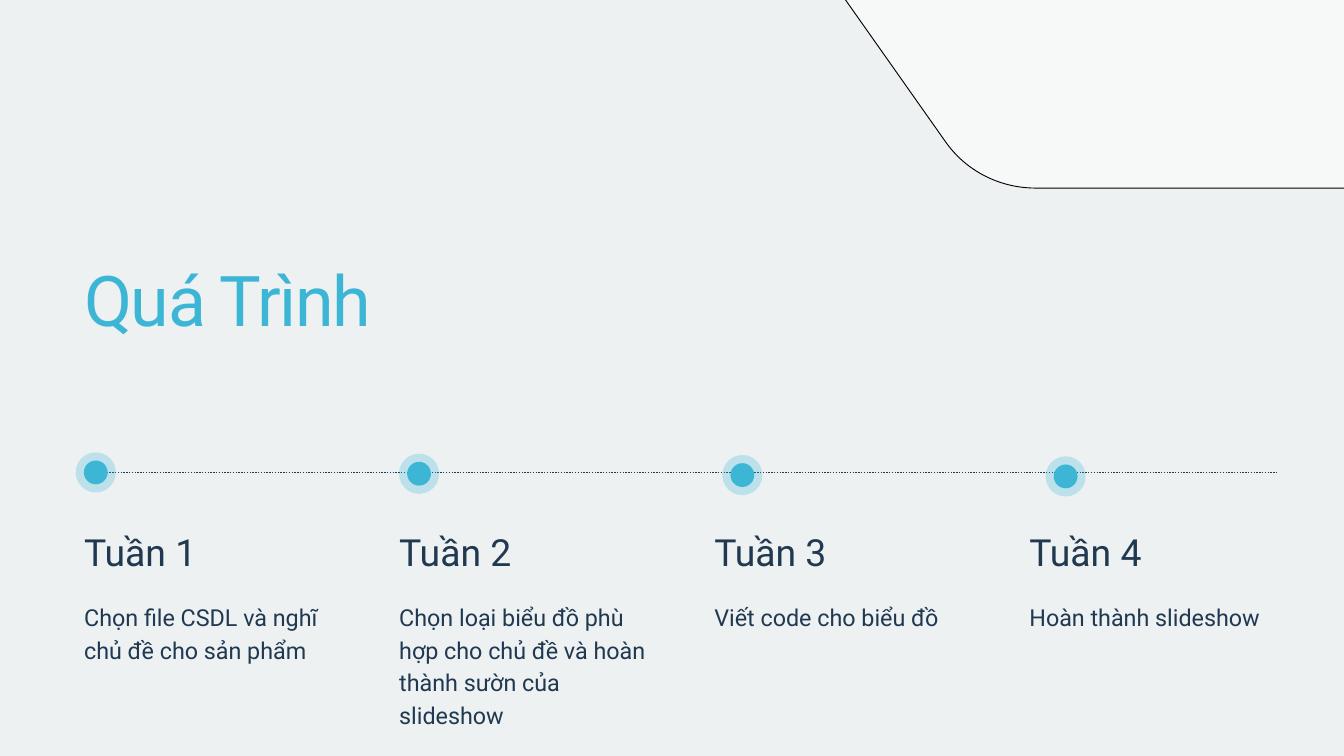
from lxml.etree import SubElement
from pptx import Presentation
from pptx.dml.color import RGBColor
from pptx.enum.dml import MSO_LINE
from pptx.enum.shapes import MSO_CONNECTOR, MSO_SHAPE
from pptx.enum.text import MSO_AUTO_SIZE
from pptx.oxml.ns import qn
from pptx.util import Cm, Pt

COLORS = {
    "background": "EDF1F2",
    "accent": "3DB6D6",
    "text": "203850",
    "panel": "FFFFFF",
    "outline": "000000",
}

# Week heading, description, lines it takes, column width
WEEKS = [
    ("Tuần 1", "Chọn file CSDL và nghĩ chủ đề cho sản phẩm", 2, 9.35),
    ("Tuần 2", "Chọn loại biểu đồ phù hợp cho chủ đề và hoàn thành sườn của slideshow", 4, 9.35),
    ("Tuần 3", "Viết code cho biểu đồ", 1, 9.35),
    ("Tuần 4", "Hoàn thành slideshow", 1, 10.24),
]

# Rounded corners of the panel: start, two control points, end
PANEL_CORNERS = [
    ((63.2, -4.17), (64.11, -5.74), (63.88, -7.75), (62.64, -9.07)),
    ((50.75, -22), (49.96, -22.86), (48.84, -23.34), (47.68, -23.34)),
    ((35.2, -23.34), (32.92, -23.34), (31.04, -21.46), (31.04, -19.18)),
    ((31.04, -2.62), (31.04, -1.75), (31.32, -0.91), (31.8, -0.23)),
    ((35.74, 5.36), (36.5, 6.45), (37.77, 7.11), (39.14, 7.11)),
    ((54.25, 7.11), (55.73, 7.11), (57.1, 6.32), (57.84, 5.05)),
]

LEFT = 3.18
COLUMN_STEP = 11.91
LINE_Y = 17.86
DOT_X, DOT_STEP, DOT_DROP = 3.62, 12.22, 0.05


def rgb(name):
    return RGBColor.from_string(COLORS[name])


def curve_points(corner, steps=24):
    """Sample a cubic Bezier curve, both ends included."""
    for i in range(steps + 1):
        t = i / steps
        weights = ((1 - t) ** 3, 3 * t * (1 - t) ** 2, 3 * t ** 2 * (1 - t), t ** 3)
        yield tuple(Cm(sum(w * p[axis] for w, p in zip(weights, corner))) for axis in (0, 1))


def write_text(tf, text, size, color="text", font="Roboto", leading=None, tracking=None):
    """Tracking is in hundredths of a point."""
    p = tf.paragraphs[0]
    if leading:
        p.line_spacing = Pt(leading)
    r = p.add_run()
    r.text = text
    r.font.name = font
    r.font.size = Pt(size)
    r.font.color.rgb = rgb(color)
    if tracking:
        r._r.get_or_add_rPr().set("spc", str(tracking))


class SlideBuilder:
    """Holds the current slide and the shared look of its elements."""

    def __init__(self, slide):
        self.s = slide
        fill = slide.background.fill
        fill.solid()
        fill.fore_color.rgb = rgb("background")

    def paint(self, sp, color, opacity=100):
        sp.shadow.inherit = False
        sp.fill.solid()
        sp.fill.fore_color.rgb = rgb(color)
        sp.line.fill.background()
        if opacity < 100:
            clr = sp._element.spPr.find(qn("a:solidFill")).find(qn("a:srgbClr"))
            SubElement(clr, qn("a:alpha"), val=str(opacity * 1000))

    def text(self, x, y, w, h, text, **style):
        tf = self.s.shapes.add_textbox(Cm(x), Cm(y), Cm(w), Cm(h)).text_frame
        tf.word_wrap = True
        tf.auto_size = MSO_AUTO_SIZE.SHAPE_TO_FIT_TEXT
        tf.margin_left = tf.margin_right = tf.margin_top = tf.margin_bottom = 0
        write_text(tf, text, **style)

    def dotted_line(self, x1, x2, y):
        line = self.s.shapes.add_connector(
            MSO_CONNECTOR.STRAIGHT, Cm(x1), Cm(y), Cm(x2), Cm(y))
        line.line.color.rgb = rgb("text")
        line.line.width = Pt(1.5)
        line.line.dash_style = MSO_LINE.ROUND_DOT
        SubElement(line._element.spPr, qn("a:effectLst"))

    def circle(self, cx, cy, diameter, opacity=100):
        sp = self.s.shapes.add_shape(
            MSO_SHAPE.OVAL, Cm(cx - diameter / 2), Cm(cy - diameter / 2),
            Cm(diameter), Cm(diameter))
        self.paint(sp, "accent", opacity)

    def rounded_panel(self, corners):
        points = [pt for corner in corners for pt in curve_points(corner)]
        builder = self.s.shapes.build_freeform(*points[0])
        builder.add_line_segments(points[1:], close=True)
        sp = builder.convert_to_shape()
        self.paint(sp, "panel", 60)
        sp.line.color.rgb = rgb("outline")
        sp.line.width = Pt(1)


def main():
    prs = Presentation()
    prs.slide_width, prs.slide_height = Cm(50.8), Cm(28.58)
    page = SlideBuilder(prs.slides.add_slide(prs.slide_layouts[6]))

    page.dotted_line(LEFT, 48.26, LINE_Y)
    for i in range(len(WEEKS)):
        cx, cy = DOT_X + i * DOT_STEP, LINE_Y + i * DOT_DROP
        page.circle(cx, cy, 1.52, opacity=27)
        page.circle(cx, cy, 0.9)

    page.rounded_panel(PANEL_CORNERS)
    page.text(LEFT, 9.68, 29.44, 3.15, "Quá Trình",
              size=75, color="accent", leading=90, tracking=-150)

    for i, (week, task, lines, width) in enumerate(WEEKS):
        x = LEFT + i * COLUMN_STEP
        page.text(x, 19.99, width, 1.68, week, size=40, leading=48)
        page.text(x, 22.63, width, 1.22 * lines - 0.1, task, size=25, leading=35)

    prs.save("out.pptx")


if __name__ == "__main__":
    main()
